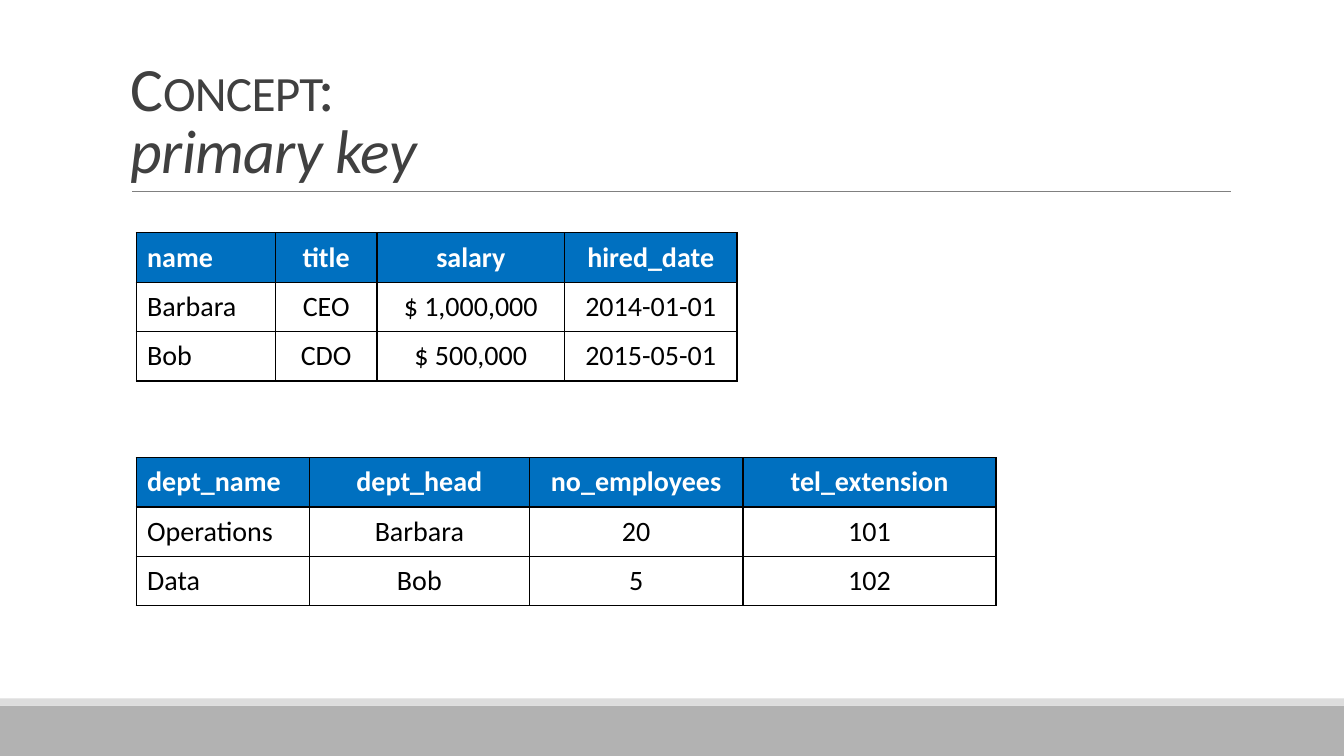
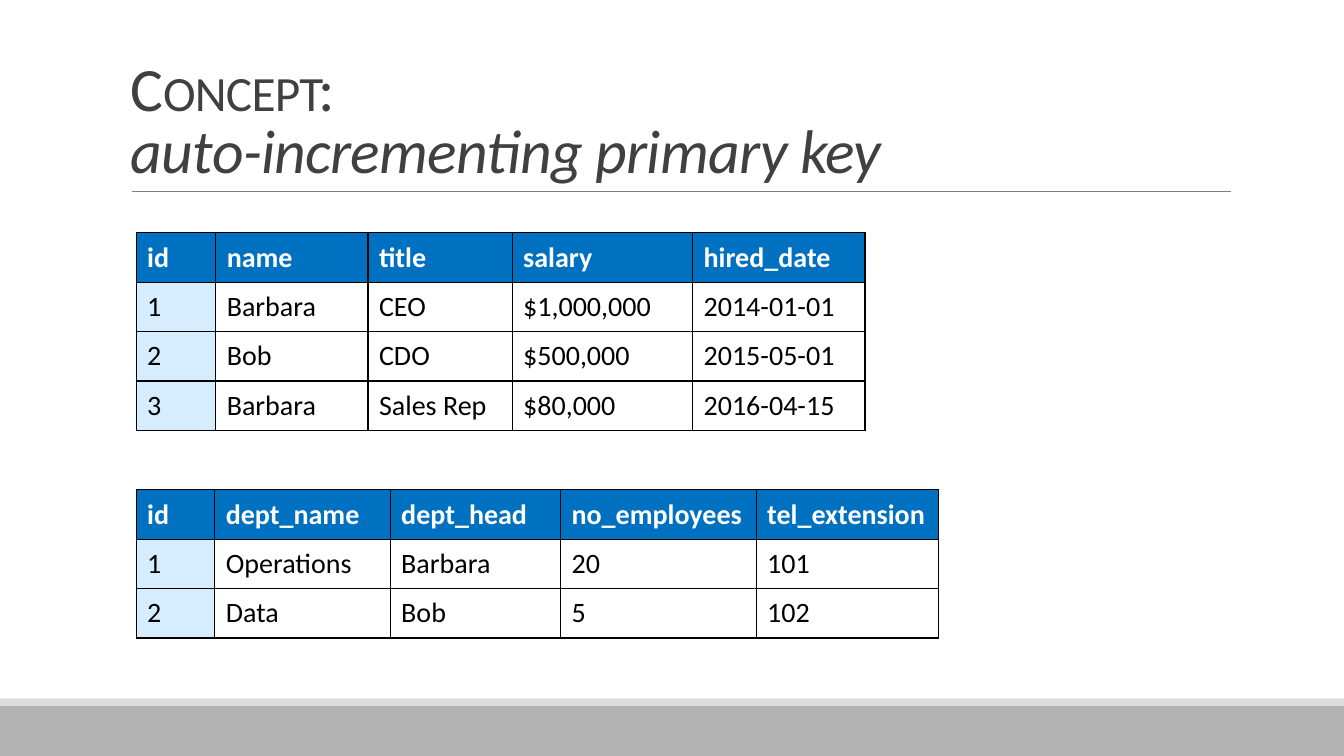
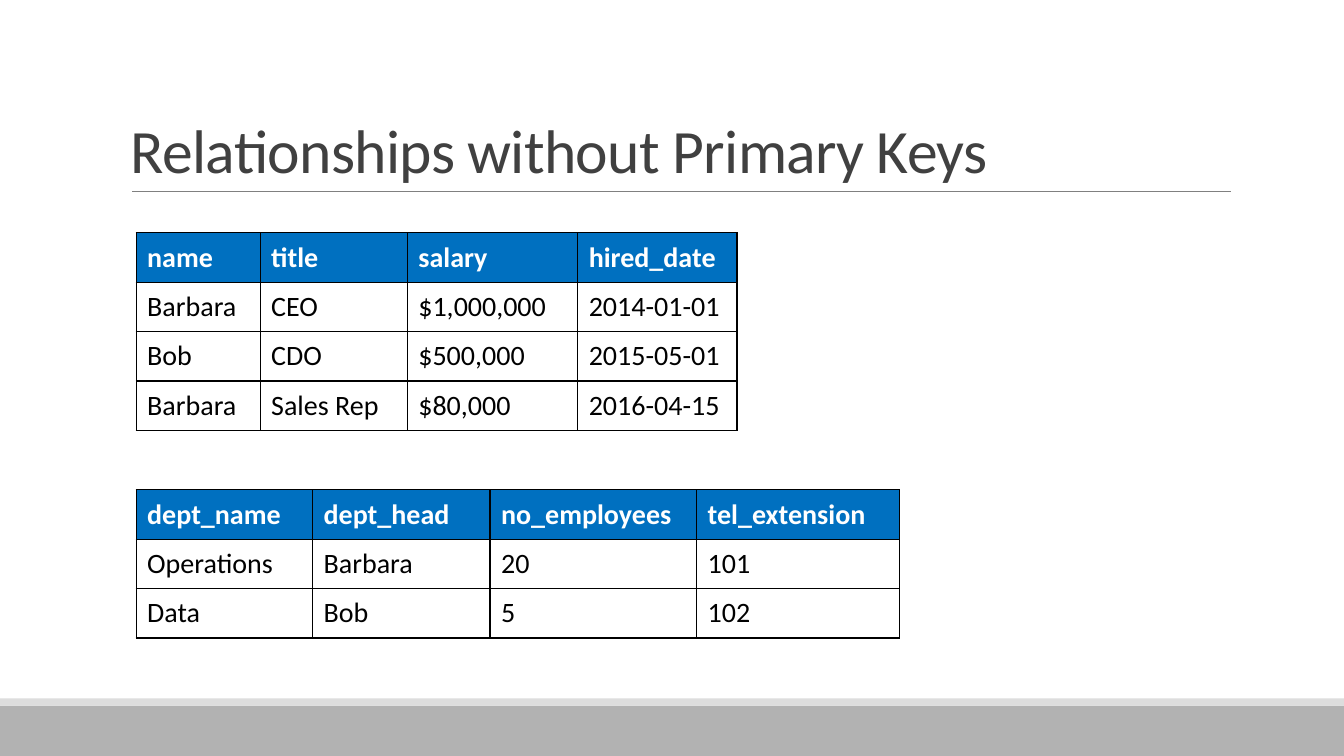
"""Builds three slides on primary keys, each with a staff and a department table."""
from lxml import etree
from pptx import Presentation
from pptx.dml.color import RGBColor
from pptx.enum.shapes import MSO_CONNECTOR, MSO_SHAPE
from pptx.enum.text import MSO_ANCHOR, PP_ALIGN
from pptx.oxml.ns import qn
from pptx.util import Inches, Pt

RECTANGLE = MSO_SHAPE.RECTANGLE
STRAIGHT = MSO_CONNECTOR.STRAIGHT
MIDDLE, BOTTOM = MSO_ANCHOR.MIDDLE, MSO_ANCHOR.BOTTOM
LEFT, CENTER = PP_ALIGN.LEFT, PP_ALIGN.CENTER

FONT = "Calibri"
WHITE, BLACK, TITLE_GRAY, RULE_GRAY = "FFFFFF", "000000", "404040", "808080"
HEADER_BLUE, KEY_BLUE = "0070C0", "D5EDFF"
BANDS = [(7, 0.5, "B2B2B2"), (6.93, 0.07, "DDDDDD")]
SLIDE_WIDTH, SLIDE_HEIGHT = 13.33, 7.5
TABLE_LEFT, STAFF_TOP, ROW_HEIGHT = 1.35, 2.31, 0.49
BORDER_SIDES = ("a:lnL", "a:lnR", "a:lnT", "a:lnB")

STAFF_HEADER = ("name", "title", "salary", "hired_date")
STAFF = [
    STAFF_HEADER,
    ("Barbara", "CEO", "$1,000,000", "2014-01-01"),
    ("Bob", "CDO", "$500,000", "2015-05-01"),
    ("Barbara", "Sales Rep", "$80,000", "2016-04-15"),
]
SPACED_STAFF = [
    STAFF_HEADER,
    ("Barbara", "CEO", "$ 1,000,000", "2014-01-01"),
    ("Bob", "CDO", "$ 500,000", "2015-05-01"),
]
DEPARTMENTS = [
    ("dept_name", "dept_head", "no_employees", "tel_extension"),
    ("Operations", "Barbara", "20", "101"),
    ("Data", "Bob", "5", "102"),
]


def with_ids(rows):
    """Put an id column before the rows."""
    return [(str(number or "id"), *row) for number, row in enumerate(rows)]


SLIDES = [
    {
        "concept": "Concept", "title": "primary key", "align": CENTER, "department_top": 4.54,
        "staff": (SPACED_STAFF, (1.38, 1.01, 1.86, 1.71)),
        "departments": (DEPARTMENTS, (1.72, 2.18, 2.12, 2.51)),
    },
    {
        "concept": "Concept", "title": "auto-incrementing primary key", "align": LEFT,
        "department_top": 4.86,
        "staff": (with_ids(STAFF), (0.79, 1.51, 1.43, 1.79, 1.71)),
        "departments": (with_ids(DEPARTMENTS), (0.78, 1.74, 1.69, 1.94, 1.81)),
    },
    {
        "concept": None, "title": "Relationships without Primary Keys", "align": LEFT,
        "department_top": 4.86,
        "staff": (STAFF, (1.23, 1.46, 1.69, 1.58)),
        "departments": (DEPARTMENTS, (1.75, 1.76, 2.05, 2.01)),
    },
]


def color(value):
    """Turn a hex string into a colour."""
    return RGBColor.from_string(value)


def style_paragraph(para, size, value, bold=False):
    """Set the font of a whole paragraph."""
    para.font.name = FONT
    para.font.size = Pt(size)
    para.font.bold = bold
    para.font.color.rgb = color(value)


def add_frame(slide):
    """Draw the bottom bands and the rule under the title."""
    for top, height, value in BANDS:
        band = slide.shapes.add_shape(
            RECTANGLE, 0, Inches(top), Inches(SLIDE_WIDTH), Inches(height))
        band.shadow.inherit = False
        band.fill.solid()
        band.fill.fore_color.rgb = color(value)
        band.line.fill.background()
    rule = slide.shapes.add_connector(
        STRAIGHT, Inches(1.31), Inches(1.9), Inches(12.21), Inches(1.9))
    rule.line.color.rgb = color(RULE_GRAY)
    rule.line.width = Pt(0.5)
    etree.SubElement(rule.element.spPr, qn("a:effectLst"))


def add_title_span(para, text, italic=False, small_caps=False):
    """Add tightly spaced title text."""
    span = para.add_run()
    span.text = text
    span.font.italic = italic
    properties = span.font._element
    properties.set("spc", "-50")
    if small_caps:
        properties.set("cap", "small")


def add_title(slide, concept, title):
    """Write the title, with an optional concept line above it."""
    box = slide.shapes.add_textbox(Inches(1.2), Inches(0.31), Inches(11), Inches(1.59))
    frame = box.text_frame
    frame.word_wrap = True
    frame.vertical_anchor = BOTTOM
    para = frame.paragraphs[0]
    para.line_spacing = 0.85
    style_paragraph(para, 44, TITLE_GRAY)
    if concept:
        add_title_span(para, concept, small_caps=True)
        add_title_span(para, ":")
        para.add_line_break()
    add_title_span(para, title, italic=bool(concept))


def add_borders(cell):
    """Draw a thin black line on every side of a cell."""
    properties = cell._tc.get_or_add_tcPr()
    for side in BORDER_SIDES:
        line = etree.SubElement(properties, qn(side), w=str(Pt(1)))
        fill = etree.SubElement(line, qn("a:solidFill"))
        etree.SubElement(fill, qn("a:srgbClr"), val=BLACK)


def fill_cell(cell, text, fill, text_color, bold, align):
    """Write and style one table cell."""
    cell.margin_left = cell.margin_right = Inches(0.11)
    cell.margin_top = cell.margin_bottom = Inches(0.06)
    cell.vertical_anchor = MIDDLE
    add_borders(cell)
    if fill:
        cell.fill.solid()
        cell.fill.fore_color.rgb = color(fill)
    else:
        cell.fill.background()
    cell.text = text
    para = cell.text_frame.paragraphs[0]
    para.alignment = align
    style_paragraph(para, 20, text_color, bold)


def add_data_table(slide, top, rows, widths, align):
    """Add a table with a blue header and a tinted id column."""
    table = slide.shapes.add_table(
        len(rows), len(widths), Inches(TABLE_LEFT), Inches(top),
        Inches(sum(widths)), Inches(ROW_HEIGHT * len(rows))).table
    table.first_row = table.horz_banding = False
    for column, width in zip(table.columns, widths):
        column.width = Inches(width)
    for row_index, row in enumerate(rows):
        header = row_index == 0
        for column_index, text in enumerate(row):
            key = rows[0][column_index] == "id"
            fill = HEADER_BLUE if header else KEY_BLUE if key else None
            fill_cell(table.cell(row_index, column_index), text, fill,
                      WHITE if header else BLACK, header, align if column_index else LEFT)


def main():
    """Build and save the deck."""
    deck = Presentation()
    deck.slide_width, deck.slide_height = Inches(SLIDE_WIDTH), Inches(SLIDE_HEIGHT)
    for page in SLIDES:
        slide = deck.slides.add_slide(deck.slide_layouts[6])
        add_frame(slide)
        add_data_table(slide, STAFF_TOP, *page["staff"], page["align"])
        add_data_table(slide, page["department_top"], *page["departments"], page["align"])
        add_title(slide, page["concept"], page["title"])
    deck.save("out.pptx")


if __name__ == "__main__":
    main()
